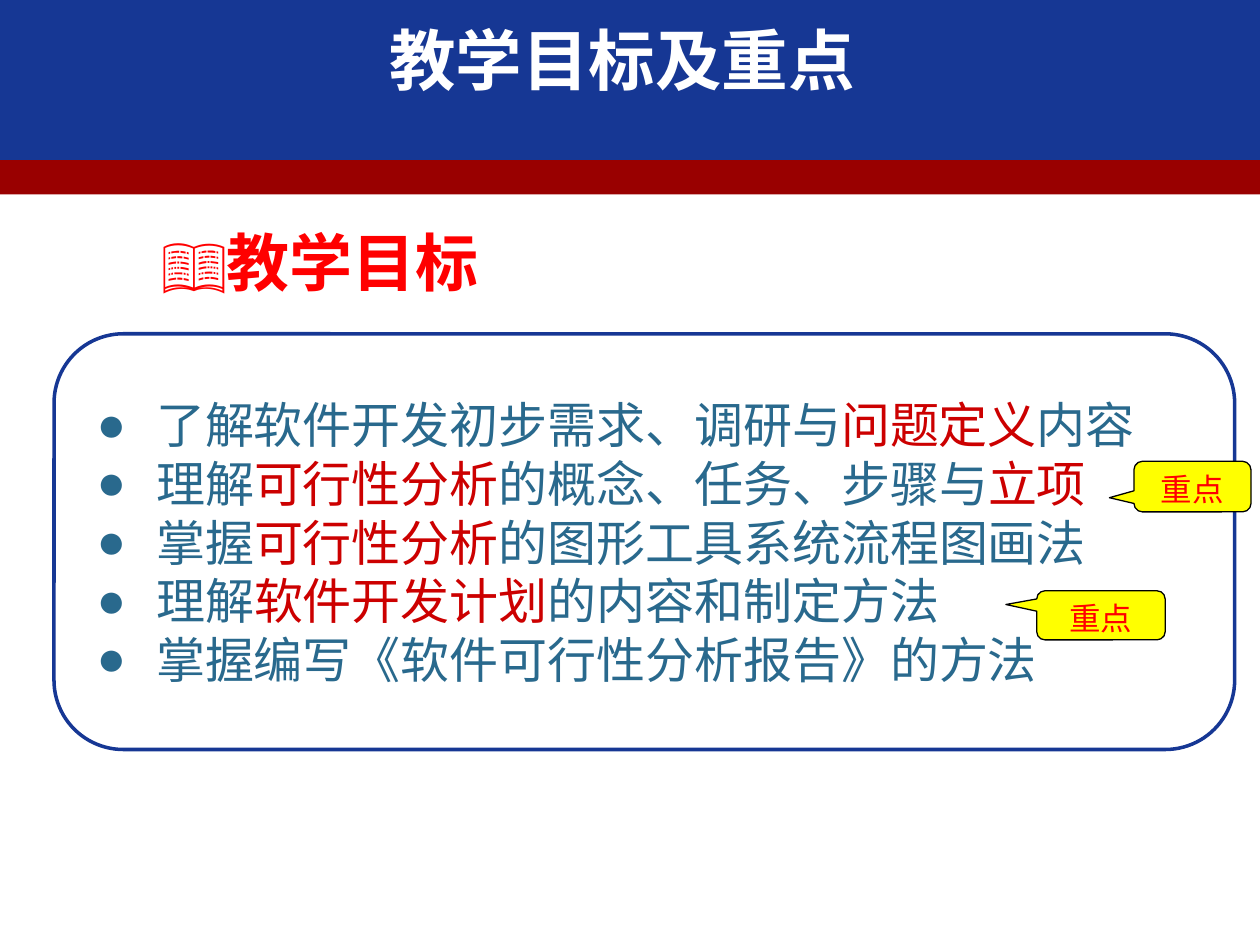
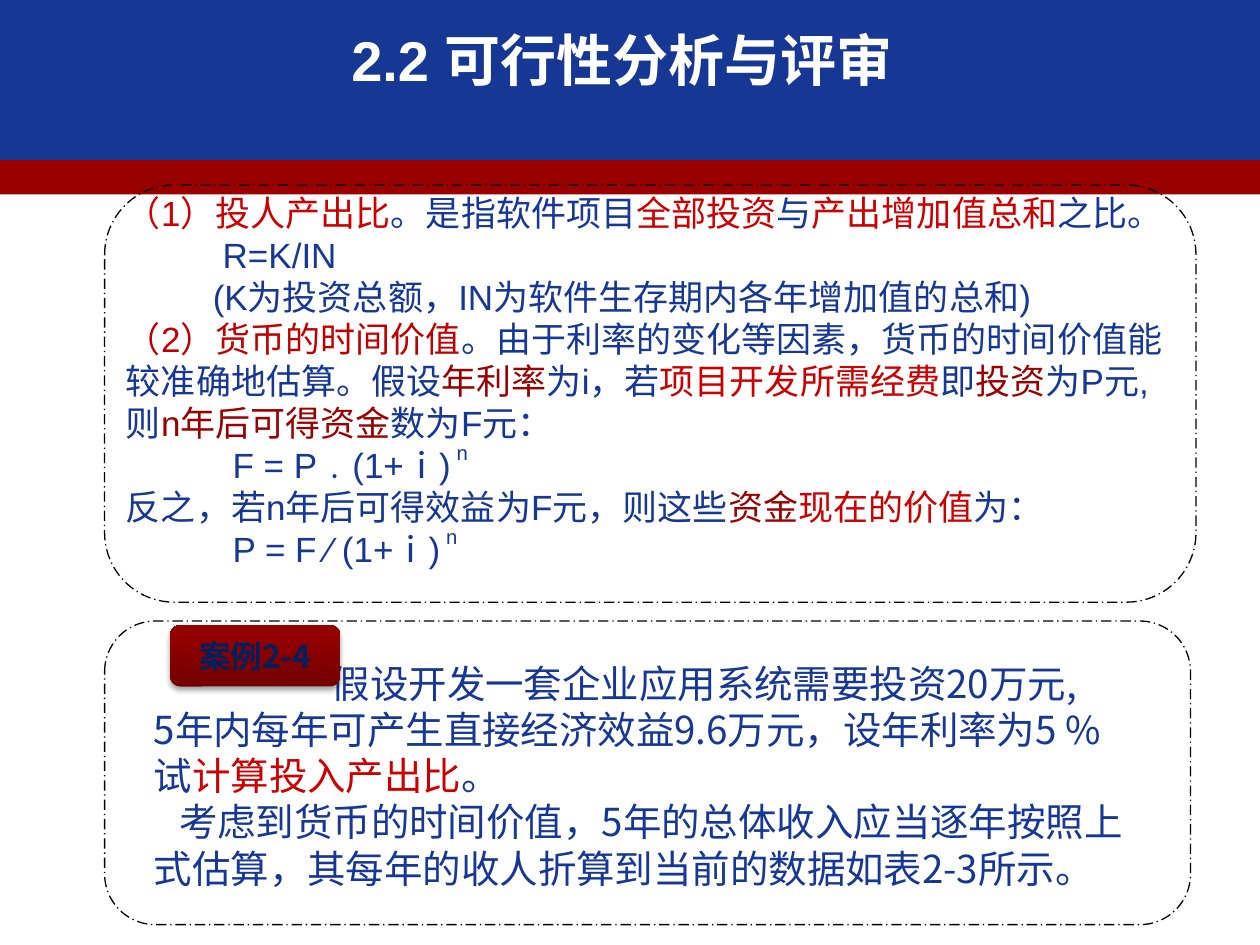
from dataclasses import dataclass

from lxml import etree
from pptx import Presentation
from pptx.dml.color import RGBColor
from pptx.enum.dml import MSO_LINE
from pptx.enum.shapes import MSO_SHAPE
from pptx.enum.text import MSO_ANCHOR, MSO_AUTO_SIZE, PP_ALIGN
from pptx.oxml.ns import qn
from pptx.shapes.autoshape import Shape
from pptx.slide import Slide, SlideLayout
from pptx.text.text import TextFrame
from pptx.util import Cm, Pt

RECTANGLE = MSO_SHAPE.RECTANGLE
ROUNDED = MSO_SHAPE.ROUNDED_RECTANGLE
CALLOUT = MSO_SHAPE.ROUNDED_RECTANGULAR_CALLOUT
FRAME = MSO_SHAPE.FLOWCHART_ALTERNATE_PROCESS
TOP, MIDDLE = MSO_ANCHOR.TOP, MSO_ANCHOR.MIDDLE
LEFT, CENTER = PP_ALIGN.LEFT, PP_ALIGN.CENTER
DASH_DOT = MSO_LINE.LONG_DASH_DOT
NO_AUTOFIT = MSO_AUTO_SIZE.NONE
TITLE_ONLY = 5


@dataclass(frozen=True)
class Theme:
    blue: str = "163794"
    maroon: str = "990000"
    teal: str = "29698D"
    red: str = "CC0000"
    deep_red: str = "C00000"
    bright_red: str = "FF0000"
    yellow: str = "FFFF00"
    white: str = "FFFFFF"
    black: str = "000000"
    navy: str = "002060"
    badge_dark: str = "720000"
    badge_light: str = "940000"
    latin: str = "Arial"
    chinese: str = "Noto Sans CJK SC"
    title_face: str = "DejaVu Sans"
    label_face: str = "Montserrat"
    heading_size: float = 36
    goal_size: float = 28
    formula_size: float = 20
    case_size: float = 22
    label_size: float = 18


THEME = Theme()


@dataclass(frozen=True)
class Box:
    """A place on the slide, in centimetres."""
    left: float
    top: float
    width: float
    height: float

    def lengths(self) -> tuple[Cm, Cm, Cm, Cm]:
        return Cm(self.left), Cm(self.top), Cm(self.width), Cm(self.height)


@dataclass(frozen=True)
class Style:
    face: str
    size: float
    color: str
    bold: bool = False
    align: PP_ALIGN = LEFT
    pitch: float | None = None
    before: float | None = None
    bullet: str | None = None


@dataclass(frozen=True)
class Piece:
    text: str
    color: str | None = None
    raised: bool = False


@dataclass(frozen=True)
class Line:
    pieces: tuple[Piece, ...]
    indent: float = 0
    margin: float = 0


@dataclass(frozen=True)
class KeyPoint:
    box: Box
    tip: tuple[float, float]


def line(*pieces: str | Piece, indent: float = 0, margin: float = 0) -> Line:
    return Line(tuple(p if isinstance(p, Piece) else Piece(p) for p in pieces),
                indent, margin)


def red(text: str) -> Piece:
    return Piece(text, THEME.red)


def maroon(text: str) -> Piece:
    return Piece(text, THEME.maroon)


def goal(*pieces: str | Piece) -> Line:
    return line(*pieces, indent=-1.2, margin=1.4)


BANDS = ((Box(0, 0, 25.4, 3.28), THEME.blue),
         (Box(0, 3.23, 25.4, 0.69), THEME.maroon))
TITLE_BOX = Box(1.19, 0.46, 22.71, 1.47)

GOALS = (
    goal("了解软件开发初步需求、调研与", red("问题定义"), "内容"),
    goal("理解", red("可行性分析"), "的概念、任务、步骤与", red("立项")),
    goal("掌握", red("可行性分析"), "的图形工具系统流程图画法"),
    goal("理解", red("软件开发计划"), "的内容和制定方法"),
    goal("掌握编写《软件可行性分析报告》的方法"),
)
KEY_POINTS = (
    KeyPoint(Box(22.86, 9.3, 2.36, 1.02), (-0.71, 0.22)),
    KeyPoint(Box(20.9, 11.91, 2.59, 0.99), (-0.74, -0.22)),
)

EXPONENT = Piece(" n", raised=True)
FORMULA_INDENT = 2.15
METHODS = (
    line(red("（1）投人产出比"), "。是指软件项目", red("全部投资"), "与",
         red("产出增加值总和"), "之比。"),
    line("R=K/IN", indent=1.95),
    line("(K为投资总额，IN为软件生存期内各年增加值的总和)", indent=1.75),
    line(Piece("（2）货币的时间价值", THEME.deep_red),
         "。由于利率的变化等因素，货币的时间价值能较准确地估算。假设",
         maroon("年利率"), "为i，若", red("项目开发所需经费"), "即",
         maroon("投资"), "为P元,则", maroon("n年后可得资金"), "数为F元："),
    line("F = P﹒(1+ⅰ)", EXPONENT, indent=FORMULA_INDENT),
    line("反之，若n年后可得效益为F元，则这些", maroon("资金"),
         red("现在的价值"), "为："),
    line("P = F ∕ (1+ⅰ)", EXPONENT, indent=FORMULA_INDENT),
)
CASE_INDENT = 0.74
CASE = (
    line("假设开发一套企业应用系统需要投资20万元,", indent=4.33),
    line("5年内每年可产生直接经济效益9.6万元，设年利率为5 %", indent=CASE_INDENT),
    line("试", red("计算投入产出比"), "。", indent=CASE_INDENT),
    line("考虑到货币的时间价值，5年的总体收入应当逐年按照上", indent=1.25),
    line("式估算，其每年的收人折算到当前的数据如表2-3所示。", indent=CASE_INDENT),
)

GOAL_STYLE = Style(THEME.latin, THEME.goal_size, THEME.teal, pitch=33.5, bullet="●")
METHOD_STYLE = Style(THEME.latin, THEME.formula_size, THEME.blue, pitch=24)
CASE_STYLE = Style(THEME.chinese, THEME.case_size, THEME.blue, pitch=26.4)
HEADING_STYLE = Style(THEME.chinese, THEME.heading_size, THEME.bright_red, bold=True)
KEY_STYLE = Style(THEME.label_face, THEME.label_size, THEME.bright_red,
                  align=CENTER, before=3.6)
BADGE_STYLE = Style(THEME.chinese, THEME.label_size, THEME.navy, bold=True,
                    align=CENTER, before=3.6)


def rgb(color: str) -> RGBColor:
    return RGBColor.from_string(color)


def write(frame: TextFrame, lines: tuple[Line, ...], style: Style,
          anchor: MSO_ANCHOR = TOP, wrap: bool = True) -> None:
    frame.auto_size = NO_AUTOFIT
    frame.word_wrap = wrap
    frame.vertical_anchor = anchor
    for index, content in enumerate(lines):
        paragraph = frame.add_paragraph() if index else frame.paragraphs[0]
        paragraph.alignment = style.align
        if style.pitch:
            paragraph.line_spacing = Pt(style.pitch)
        if style.before:
            paragraph.space_before = Pt(style.before)
        properties = paragraph._p.get_or_add_pPr()
        properties.set("marL", str(Cm(content.margin)))
        properties.set("indent", str(Cm(content.indent)))
        if style.bullet:
            etree.SubElement(properties, qn("a:buFont"), typeface=style.face)
            etree.SubElement(properties, qn("a:buChar"), char=style.bullet)
        for piece in content.pieces:
            run = paragraph.add_run()
            run.text = piece.text
            run.font.name = style.face
            run.font.size = Pt(style.size)
            run.font.bold = style.bold
            run.font.color.rgb = rgb(piece.color or style.color)
            if piece.raised:
                run.font._element.set("baseline", "50000")


def add_panel(slide: Slide, kind: MSO_SHAPE, box: Box, fill: str | None = None,
              outline: str | None = None, weight: float = 0.75) -> Shape:
    panel = slide.shapes.add_shape(kind, *box.lengths())
    panel.shadow.inherit = False
    if fill:
        panel.fill.solid()
        panel.fill.fore_color.rgb = rgb(fill)
    else:
        panel.fill.background()
    if outline:
        panel.line.color.rgb = rgb(outline)
        panel.line.width = Pt(weight)
    else:
        panel.line.fill.background()
    return panel


def add_text(slide: Slide, box: Box, lines: tuple[Line, ...], style: Style,
             anchor: MSO_ANCHOR = TOP, wrap: bool = True) -> None:
    area = slide.shapes.add_textbox(*box.lengths())
    write(area.text_frame, lines, style, anchor, wrap)


def move_bands_to_layout(slide: Slide, layout: SlideLayout) -> None:
    """Draw the header bands and place them behind all slides of the layout."""
    front = layout.placeholders[0].element
    for number, (box, color) in enumerate(BANDS, start=101):
        band = add_panel(slide, RECTANGLE, box, color).element
        band.xpath("./p:nvSpPr/p:cNvPr")[0].set("id", str(number))
        front.addprevious(band)


def add_titled_slide(layout: SlideLayout, slides, title: str,
                     face: str, size: float) -> Slide:
    slide = slides.add_slide(layout)
    heading = slide.shapes.title
    heading.left, heading.top, heading.width, heading.height = TITLE_BOX.lengths()
    style = Style(face, size, THEME.white, bold=True, align=CENTER)
    write(heading.text_frame, (line(title),), style, MIDDLE)
    return slide


def add_case_badge(slide: Slide) -> None:
    badge = add_panel(slide, ROUNDED, Box(3.43, 12.6, 3.43, 1.24))
    badge.fill.gradient()
    badge.fill.gradient_angle = 90
    shades = ((0, THEME.badge_dark), (0.8, THEME.badge_light))
    for stop, (position, color) in zip(badge.fill.gradient_stops, shades):
        stop.position = position
        stop.color.rgb = rgb(color)
    effects = badge.element.spPr.find(qn("a:effectLst"))
    shadow = etree.SubElement(effects, qn("a:outerShdw"), blurRad=str(Pt(3.1)),
                              dist=str(Pt(1.8)), dir="5400000", rotWithShape="0")
    shade = etree.SubElement(shadow, qn("a:srgbClr"), val=THEME.black)
    etree.SubElement(shade, qn("a:alpha"), val="35000")
    write(badge.text_frame, (line("案例2-4"),), BADGE_STYLE, MIDDLE, wrap=False)


def fill_goals(slide: Slide) -> None:
    panel = add_panel(slide, ROUNDED, Box(1.09, 6.73, 23.8, 8.38),
                      THEME.white, THEME.blue, 2)
    write(panel.text_frame, GOALS, GOAL_STYLE, MIDDLE)
    for point in KEY_POINTS:
        callout = add_panel(slide, CALLOUT, point.box, THEME.yellow, THEME.black)
        callout.adjustments[0], callout.adjustments[1] = point.tip
        write(callout.text_frame, (line("重点"),), KEY_STYLE)
    add_text(slide, Box(3, 4.39, 7.16, 1.78), (line("📖教学目标"),),
             HEADING_STYLE, wrap=False)


def fill_feasibility(slide: Slide) -> None:
    for box in (Box(2.11, 3.73, 22, 8.41), Box(2.11, 12.52, 21.89, 6.12)):
        add_panel(slide, FRAME, box, outline=THEME.black).line.dash_style = DASH_DOT
    add_text(slide, Box(2.29, 3.73, 21.62, 7.87), METHODS, METHOD_STYLE)
    add_text(slide, Box(2.11, 13.13, 22.1, 5), CASE, CASE_STYLE, MIDDLE)
    add_case_badge(slide)


def main() -> None:
    deck = Presentation()
    deck.slide_width, deck.slide_height = Cm(25.4), Cm(19.05)
    layout = deck.slide_layouts[TITLE_ONLY]
    goals = add_titled_slide(layout, deck.slides, "教学目标及重点", THEME.title_face, 38)
    move_bands_to_layout(goals, layout)
    fill_goals(goals)
    fill_feasibility(add_titled_slide(layout, deck.slides, "2.2 可行性分析与评审",
                                      THEME.latin, 32))
    deck.save("out.pptx")


if __name__ == "__main__":
    main()
